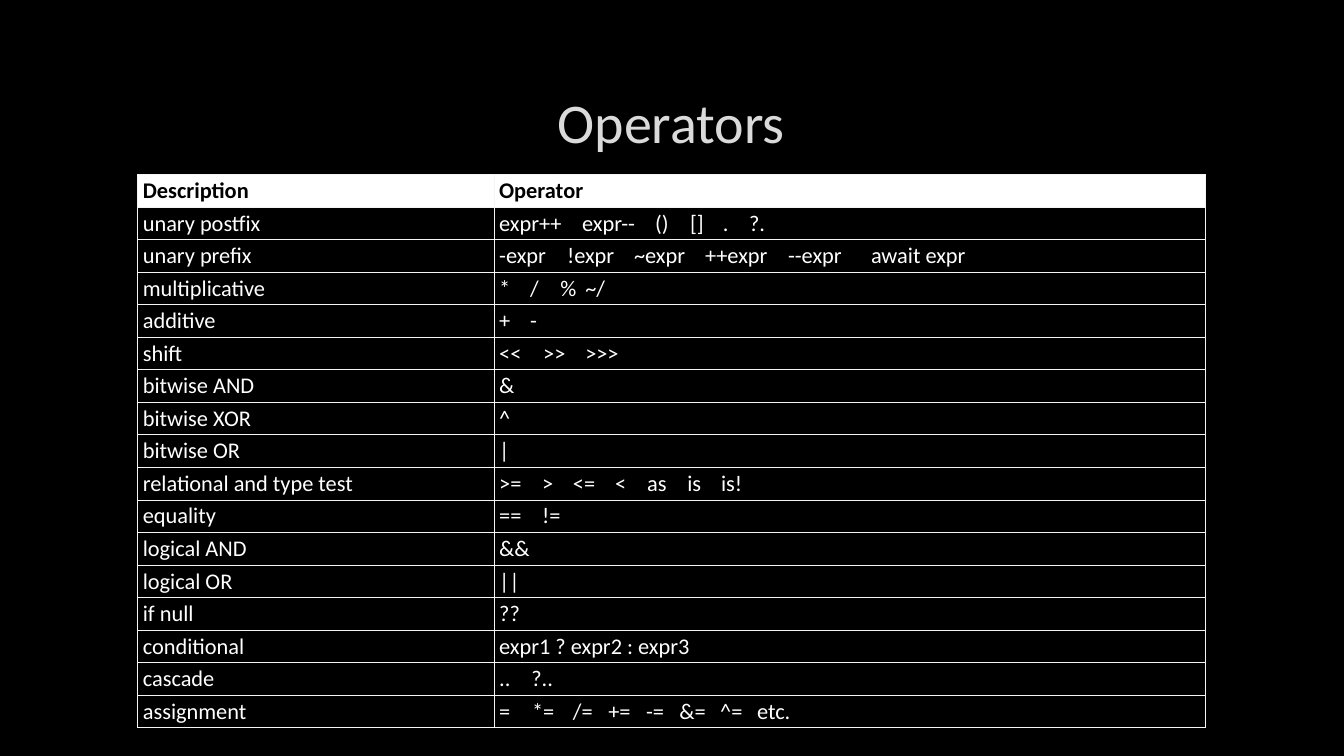
import dataclasses

import lxml.etree
import pptx
import pptx.dml.color
import pptx.enum.text
import pptx.oxml.ns
import pptx.util

Cm = pptx.util.Cm
Pt = pptx.util.Pt
qn = pptx.oxml.ns.qn


@dataclasses.dataclass(frozen=True)
class Theme:
    font: str = "Calibri"
    background: str = "000000"
    title: str = "DADADA"
    header_fill: str = "FFFFFF"
    header_text: str = "000000"
    body_text: str = "FFFFFF"
    border: str = "F4F4F4"
    title_size: int = 40
    table_size: int = 16


theme = Theme()


def format_font(paragraph, size, color, bold=False):
    paragraph.font.name = theme.font
    paragraph.font.size = Pt(size)
    paragraph.font.bold = bold
    paragraph.font.color.rgb = pptx.dml.color.RGBColor.from_string(color)


def add_borders(cell):
    properties = cell._tc.get_or_add_tcPr()
    for side in ("a:lnL", "a:lnR", "a:lnT", "a:lnB"):
        line = lxml.etree.SubElement(properties, qn(side), w=str(Pt(0.75)))
        fill = lxml.etree.SubElement(line, qn("a:solidFill"))
        lxml.etree.SubElement(fill, qn("a:srgbClr"), val=theme.border)


rows = [
    ("Description", ["Operator"], []),
    ("unary postfix", ["expr++", "expr--", "()", "[]", ".", "?."], [2.09, 3.93, 4.81, 5.64, 6.3]),
    ("unary prefix", ["-expr", "!expr", "~expr", "++expr", "--expr", "await expr"],
     [1.71, 3.4, 5.19, 7.28, 9.37]),
    ("multiplicative", ["*", "/", "%", "~/"], [0.78, 1.54, 2.17]),
    ("additive", ["+", "-"], [0.78]),
    ("shift", ["<<", ">>", ">>>"], [1.11, 2.17]),
    ("bitwise AND", ["&"], []),
    ("bitwise XOR", ["^"], []),
    ("bitwise OR", ["|"], []),
    ("relational and type test", [">=", ">", "<=", "<", "as", "is", "is!"],
     [1.08, 1.86, 2.92, 3.73, 4.74, 5.59]),
    ("equality", ["==", "!="], [1.08]),
    ("logical AND", ["&&"], []),
    ("logical OR", ["||"], []),
    ("if null", ["??"], []),
    ("conditional", ["expr1 ? expr2 : expr3"], []),
    ("cascade", ["..", "?.."], [0.81]),
    ("assignment", ["=", "*=", "/=", "+=", "-=", "&=", "^=", "etc."],
     [0.83, 1.86, 2.75, 3.7, 4.54, 5.57, 6.5]),
]
column_widths = [8.98, 17.94]
row_height = 0.82

presentation = pptx.Presentation()
presentation.slide_width = Cm(33.87)
presentation.slide_height = Cm(19.05)
slide = presentation.slides.add_slide(presentation.slide_layouts[5])
slide.background.fill.solid()
slide.background.fill.fore_color.rgb = pptx.dml.color.RGBColor.from_string(theme.background)

title = slide.shapes.title
title.left, title.top, title.width, title.height = Cm(2.54), Cm(1.7), Cm(28.75), Cm(2.69)
title.text_frame.text = "Operators"
title.text_frame.vertical_anchor = pptx.enum.text.MSO_ANCHOR.MIDDLE
title_paragraph = title.text_frame.paragraphs[0]
title_paragraph.alignment = pptx.enum.text.PP_ALIGN.CENTER
format_font(title_paragraph, theme.title_size, theme.title)

table = slide.shapes.add_table(
    len(rows), len(column_widths), Cm(3.47), Cm(4.4),
    Cm(sum(column_widths)), Cm(row_height * len(rows)),
).table
table.horz_banding = False
table._tbl.tblPr.find(qn("a:tableStyleId")).text = "{2D5ABB26-0587-4C30-8999-92F81FD0307C}"
for column, width in zip(table.columns, column_widths):
    column.width = Cm(width)

for row_index, (description, operators, stops) in enumerate(rows):
    table.rows[row_index].height = Cm(row_height)
    is_header = row_index == 0
    for column_index, entries in enumerate(([description], operators)):
        cell = table.cell(row_index, column_index)
        cell.text = "\t".join(entries)
        cell.vertical_anchor = pptx.enum.text.MSO_ANCHOR.MIDDLE
        cell.margin_left = cell.margin_right = Cm(0.13)
        cell.margin_top = cell.margin_bottom = Cm(0.06)
        add_borders(cell)
        paragraph = cell.text_frame.paragraphs[0]
        if len(entries) > 1:
            tabs = lxml.etree.SubElement(paragraph._p.get_or_add_pPr(), qn("a:tabLst"))
            for stop in stops:
                lxml.etree.SubElement(tabs, qn("a:tab"), pos=str(Cm(stop)), algn="l")
        if is_header:
            cell.fill.solid()
            cell.fill.fore_color.rgb = pptx.dml.color.RGBColor.from_string(theme.header_fill)
        else:
            cell.fill.background()
        color = theme.header_text if is_header else theme.body_text
        format_font(paragraph, theme.table_size, color, is_header)

presentation.save("out.pptx")
